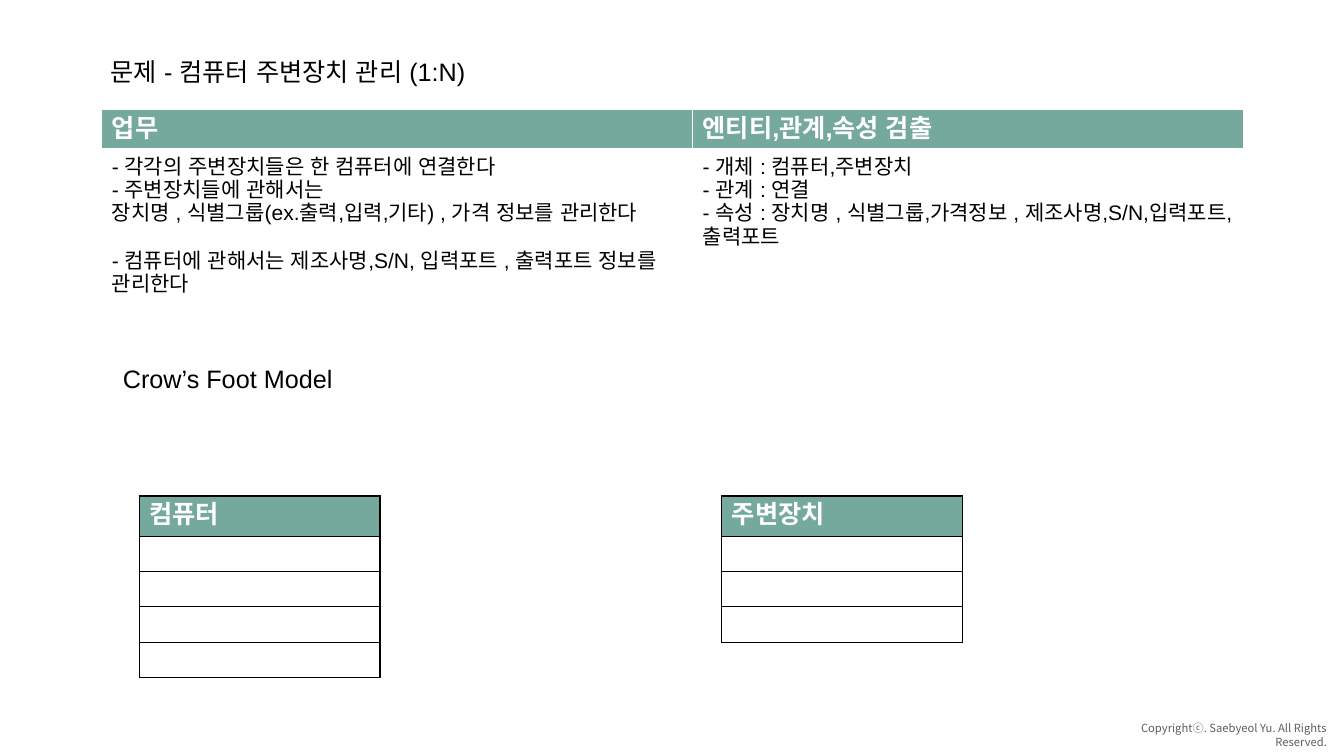
import pptx
import pptx.util
import pptx.dml.color
import pptx.enum.text
import pptx.oxml.ns
from lxml import etree

Inches = pptx.util.Inches
Pt = pptx.util.Pt
qn = pptx.oxml.ns.qn
ALIGN = pptx.enum.text.PP_ALIGN

HUES = {"green": "75A99E", "white": "FFFFFF", "black": "000000",
        "gray": "5F5E58"}
FACE, EAST = "Arial", "Noto Sans CJK KR"
PLAIN = {"size": Pt(18), "bold": False, "name": FACE}
HEAD = {"size": Pt(18), "bold": True, "name": FACE}
BODY = {"size": Pt(15), "bold": False, "name": FACE}
SMALL = {"size": Pt(8), "bold": False, "name": EAST}
GAP = Pt(17)

LABELS = [
    ("Copyrightⓒ. Saebyeol Yu. All Rights Reserved.",
     10.69, 7.11, 2.57, 0.24, True, SMALL, "gray", ALIGN.RIGHT),
    ("문제 - 컴퓨터 주변장치 관리 (1:N)",
     1, 0.51, 3.92, 0.4, False, PLAIN, "black", ALIGN.LEFT),
    ("Crow’s Foot Model",
     1.12, 3.56, 2.39, 0.4, True, PLAIN, "black", ALIGN.LEFT),
]
TASKS = [
    ("업무", [
        "- 각각의 주변장치들은 한 컴퓨터에 연결한다",
        "- 주변장치들에 관해서는",
        "장치명 , 식별그룹(ex.출력,입력,기타) , 가격 정보를 관리한다",
        "- 컴퓨터에 관해서는 제조사명,S/N, 입력포트 , 출력포트 정보를 관리한다",
    ]),
    ("엔티티,관계,속성 검출", [
        "- 개체 : 컴퓨터,주변장치",
        "- 관계 : 연결",
        "- 속성 : 장치명 , 식별그룹,가격정보 , 제조사명,S/N,입력포트, 출력포트",
    ]),
]
WIDTHS = [5.86, 5.46]
HEIGHTS = [0.37, 1.98, 0.37]
ENTITIES = [("컴퓨터", 1.38, 4), ("주변장치", 7.16, 3)]


def color(hue):
    return pptx.dml.color.RGBColor.from_string(HUES[hue])


def write(para, text, style, hue):
    run = para.add_run()
    run.text = text
    for key, value in style.items():
        setattr(run.font, key, value)
    run.font.color.rgb = color(hue)
    etree.SubElement(run.font._element, qn("a:ea"), typeface=style["name"])


def border(cell, hue, base=1):
    props = cell._tc.get_or_add_tcPr()
    for spot, side in enumerate(("L", "R", "T", "B")):
        width = Pt(base if side == "B" else 1)
        line = etree.Element(qn("a:ln" + side), w=str(width))
        fill = etree.SubElement(line, qn("a:solidFill"))
        etree.SubElement(fill, qn("a:srgbClr"), val=HUES[hue])
        props.insert(spot, line)


def add_grid(slide, left, top, widths, heights):
    frame = slide.shapes.add_table(
        len(heights), len(widths), Inches(left), Inches(top),
        Inches(sum(widths)), Inches(sum(heights)))
    grid = frame.table
    grid.first_row = grid.horz_banding = False
    for col, width in zip(grid.columns, widths):
        col.width = Inches(width)
    for row, height in zip(grid.rows, heights):
        row.height = Inches(height)
    for cell in grid.iter_cells():
        cell.fill.background()
    return grid


def add_head(cell, text, hue, base=1):
    cell.fill.solid()
    cell.fill.fore_color.rgb = color("green")
    border(cell, hue, base)
    write(cell.text_frame.paragraphs[0], text, HEAD, "white")


def add_label(slide, text, left, top, width, height, wrap, style, hue, align):
    box = slide.shapes.add_textbox(
        Inches(left), Inches(top), Inches(width), Inches(height))
    frame = box.text_frame
    frame.word_wrap = wrap
    frame.auto_size = pptx.enum.text.MSO_AUTO_SIZE.SHAPE_TO_FIT_TEXT
    frame.paragraphs[0].alignment = align
    write(frame.paragraphs[0], text, style, hue)


def add_tasks(slide):
    grid = add_grid(slide, 1.01, 1.09, WIDTHS, HEIGHTS)
    for col, (title, lines) in enumerate(TASKS):
        add_head(grid.cell(0, col), title, "white", 3)
        cell = grid.cell(1, col)
        border(cell, "white")
        border(grid.cell(2, col), "white")
        frame = cell.text_frame
        for num, text in enumerate(lines):
            para = frame.add_paragraph() if num else frame.paragraphs[0]
            if num == 3:
                para.space_before = GAP
            write(para, text, BODY, "black")


def add_entity(slide, title, left, count):
    grid = add_grid(slide, left, 4.92, [2.39], [0.4] + [0.35] * count)
    add_head(grid.cell(0, 0), title, "black")
    for row in range(1, count + 1):
        cell = grid.cell(row, 0)
        border(cell, "black")
        para = cell.text_frame.paragraphs[0]
        etree.SubElement(para._p, qn("a:endParaRPr"), sz="1400")


def main():
    deck = pptx.Presentation()
    deck.slide_width, deck.slide_height = Inches(13.33), Inches(7.5)
    slide = deck.slides.add_slide(deck.slide_layouts[6])
    for label in LABELS:
        add_label(slide, *label)
    add_tasks(slide)
    for entity in ENTITIES:
        add_entity(slide, *entity)
    deck.save("out.pptx")


if __name__ == "__main__":
    main()
